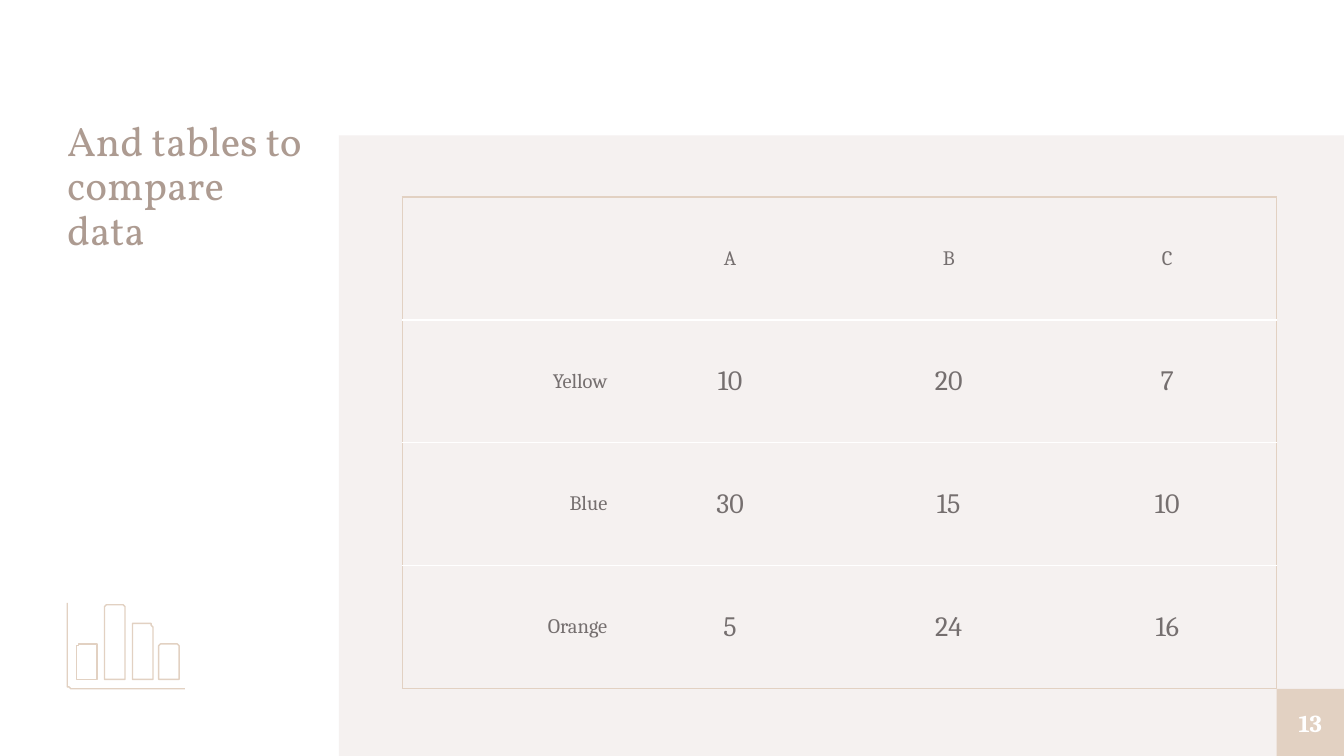
import math

from lxml import etree
from pptx import Presentation
from pptx.dml.color import RGBColor
from pptx.enum.shapes import MSO_SHAPE
from pptx.enum.text import MSO_ANCHOR, PP_ALIGN
from pptx.oxml.ns import qn
from pptx.util import Pt

RECT = MSO_SHAPE.RECTANGLE
MIDDLE = MSO_ANCHOR.MIDDLE
LEFT, CENTER, RIGHT = PP_ALIGN.LEFT, PP_ALIGN.CENTER, PP_ALIGN.RIGHT

# Content
TITLE = "And tables to compare data"
PAGE = "13"
ROWS = [
    ["", "A", "B", "C"],
    ["Yellow", "10", "20", "7"],
    ["Blue", "30", "15", "10"],
    ["Orange", "5", "24", "16"],
]
BAR_HEIGHTS = [18.8, 39.5, 29.4, 18.8]

SAND, PALE, WHITE, GREY, TAUPE = "E2D1C2", "F5F1F0", "FFFFFF", "756F6F", "AD9B91"
LINE_W = 0.75


def rgb(color):
    return RGBColor.from_string(color)


def write(tf, text, size, font, color, align, bold=False):
    tf.text = text
    p = tf.paragraphs[0]
    p.alignment = align
    for r in p.runs:
        r.font.size, r.font.name, r.font.bold = Pt(size), font, bold
        r.font.color.rgb = rgb(color)


def no_margins(tf):
    tf.margin_left = tf.margin_right = tf.margin_top = tf.margin_bottom = 0
    tf.word_wrap = True


def block(x, y, w, h, color):
    sp = s.shapes.add_shape(RECT, Pt(x), Pt(y), Pt(w), Pt(h))
    sp.shadow.inherit = False
    sp.fill.solid()
    sp.fill.fore_color.rgb = rgb(color)
    sp.line.fill.background()
    return sp


def outline(shapes, points, close):
    fb = shapes.build_freeform(*points[0], scale=Pt(1))
    fb.add_line_segments(points[1:], close=close)
    sp = fb.convert_to_shape()
    sp.shadow.inherit = False
    sp.fill.background()
    sp.line.color.rgb = rgb(SAND)
    sp.line.width = Pt(LINE_W)


def arc(cx, cy, radius, start):
    """Quarter circle, clockwise on screen from the start angle in degrees."""
    angles = [math.radians(start + step) for step in (0, 30, 60, 90)]
    return [(cx + radius * math.cos(a), cy + radius * math.sin(a)) for a in angles]


def set_borders(cell, colors):
    tc_pr = cell._tc.get_or_add_tcPr()
    for i, (side, color) in enumerate(zip("LRTB", colors)):
        ln = etree.Element(qn(f"a:ln{side}"), w=str(Pt(LINE_W)))
        if color:
            fill = etree.SubElement(ln, qn("a:solidFill"))
            etree.SubElement(fill, qn("a:srgbClr"), val=color)
        else:
            etree.SubElement(ln, qn("a:noFill"))
        tc_pr.insert(i, ln)


prs = Presentation()
prs.slide_width, prs.slide_height = Pt(720), Pt(405)
s = prs.slides.add_slide(prs.slide_layouts[6])

# Background panel
block(181.5, 72.5, 538.5, 332.5, PALE)

# Title
tb = s.shapes.add_textbox(Pt(36), Pt(64.8), Pt(128), Pt(304.5))
no_margins(tb.text_frame)
write(tb.text_frame, TITLE, 22, "Vollkorn", TAUPE, LEFT)
tb.text_frame.paragraphs[0].line_spacing = 0.9

# Bar chart icon: axes, then bars with rounded tops
icon = s.shapes.add_group_shape().shapes
outline(icon, [(36, 323.2)] + arc(37.5, 367.2, 1.5, 90)[::-1] + [(98.6, 368.7)], False)
BAR_X, BAR_STEP, BAR_W, BASE, RADIUS = 41.3, 14.65, 11.1, 363.5, 1.8
for i, height in enumerate(BAR_HEIGHTS):
    x, top = BAR_X + i * BAR_STEP, BASE - height
    left_corner = arc(x + RADIUS, top + RADIUS, RADIUS, 180)
    right_corner = arc(x + BAR_W - RADIUS, top + RADIUS, RADIUS, 270)
    outline(icon, [(x, BASE)] + left_corner + right_corner + [(x + BAR_W, BASE)], True)

# Table
n_rows, n_cols = len(ROWS), len(ROWS[0])
COL_W, ROW_H = 117.1, 65.8
table = s.shapes.add_table(n_rows, n_cols, Pt(215.5), Pt(105.6),
                           Pt(COL_W * n_cols), Pt(ROW_H * n_rows)).table
table.first_row = table.horz_banding = False
for col in table.columns:
    col.width = Pt(COL_W)
for i, row in enumerate(ROWS):
    table.rows[i].height = Pt(ROW_H)
    for j, text in enumerate(row):
        cell = table.cell(i, j)
        cell.fill.background()
        cell.vertical_anchor = MIDDLE
        cell.margin_top = cell.margin_bottom = Pt(5)
        size = 15 if i and j else 11
        write(cell.text_frame, text, size, "Cambria", GREY, CENTER if j else RIGHT)
        set_borders(cell, [
            SAND if j == 0 else None,
            SAND if j == n_cols - 1 else None,
            SAND if i == 0 else WHITE,
            SAND if i == n_rows - 1 else WHITE,
        ])

# Page number
sp = block(684, 369, 36, 36, SAND)
no_margins(sp.text_frame)
sp.text_frame.vertical_anchor = MIDDLE
write(sp.text_frame, PAGE, 13, "Cambria", WHITE, CENTER, bold=True)

prs.save("out.pptx")
